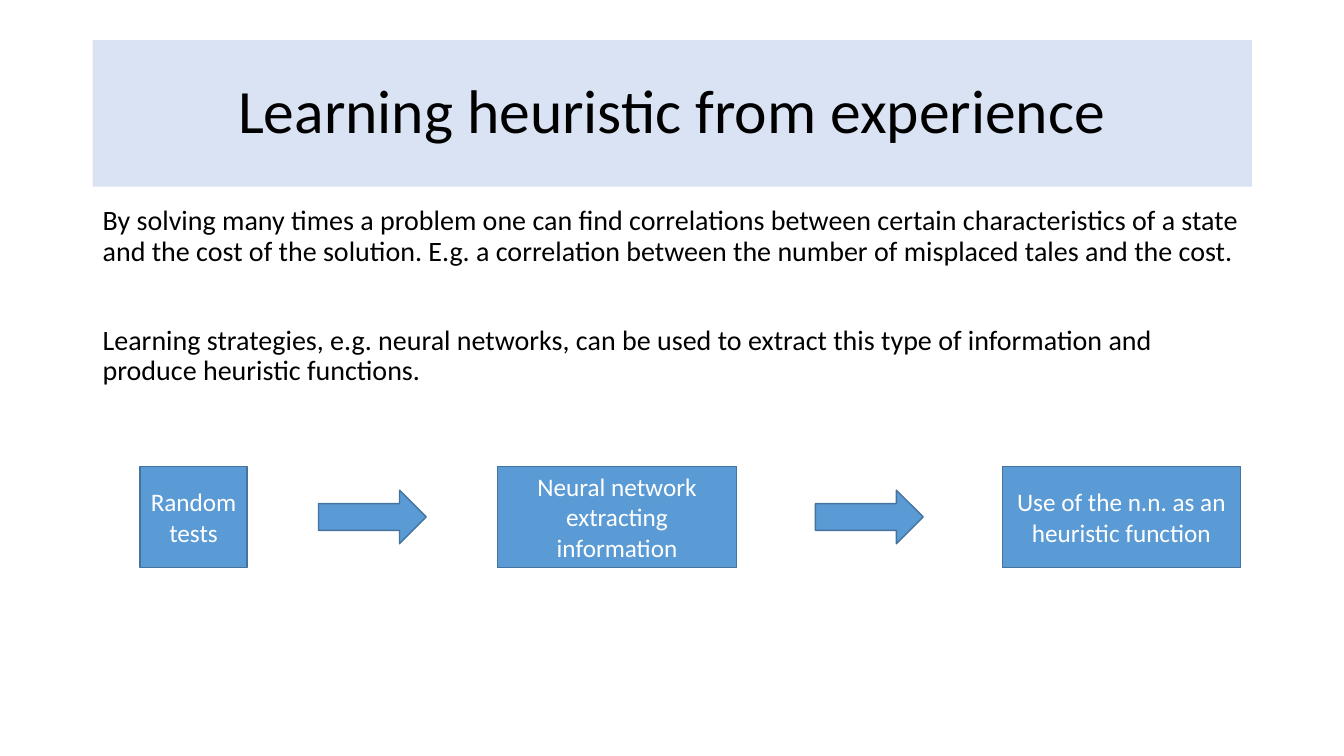
from pptx import Presentation
from pptx.dml.color import RGBColor
from pptx.enum import shapes, text
from pptx.util import Pt

TITLE = "Learning heuristic from experience"
BODY = [
    "By solving many times a problem one can find correlations between certain "
    "characteristics of a state and the cost of the solution. E.g. a correlation "
    "between the number of misplaced tales and the cost.",
    "Learning strategies, e.g. neural networks, can be used to extract this type "
    "of information and produce heuristic functions.",
]
STEPS = [
    ("Random tests", 100, 76.5),
    ("", 227.5, 77),
    ("Neural network extracting information", 355.5, 170.5),
    ("", 582.5, 77),
    ("Use of the n.n. as an heuristic function", 716, 170),
]
COLORS = {"band": "DAE3F3", "step": "5B9BD5", "edge": "43739E",
          "dark": "000000", "light": "FFFFFF"}
LEFT, WIDTH = 66.25, 828
MID = 369.25
BOX_H, ARROW_H = 72, 38.25
KIND = shapes.MSO_SHAPE
ALIGN = text.PP_ALIGN
ANCHOR = text.MSO_ANCHOR


def tint(name):
    return RGBColor.from_string(COLORS[name])


def write(shape, lines, size, color, form, anchor, gap=0):
    frame = shape.text_frame
    frame.word_wrap = True
    frame.vertical_anchor = anchor
    for i, line in enumerate(lines):
        para = frame.paragraphs[0] if i == 0 else frame.add_paragraph()
        for key, value in form.items():
            setattr(para, key, value)
        if i:
            para.space_before = Pt(gap)
        run = para.add_run()
        run.text = line
        for key, value in {"name": "Calibri", "size": Pt(size)}.items():
            setattr(run.font, key, value)
        run.font.color.rgb = tint(color)


def block(slide, kind, box, fill, edge=None):
    shape = slide.shapes.add_shape(kind, *map(Pt, box))
    shape.shadow.inherit = False
    shape.fill.solid()
    shape.fill.fore_color.rgb = tint(fill)
    if edge:
        shape.line.color.rgb = tint(edge)
        shape.line.width = Pt(1)
    else:
        shape.line.fill.background()
    return shape


def main():
    deck = Presentation()
    deck.slide_width, deck.slide_height = Pt(960), Pt(540)
    slide = deck.slides.add_slide(deck.slide_layouts[6])

    title = block(slide, KIND.RECTANGLE, (LEFT, 28.75, WIDTH, 104.5), "band")
    write(title, [TITLE], 44, "dark",
          {"alignment": ALIGN.CENTER, "line_spacing": 0.9}, ANCHOR.MIDDLE)

    body = slide.shapes.add_textbox(*map(Pt, (LEFT, 144, WIDTH, 342.75)))
    write(body, BODY, 20, "dark",
          {"alignment": ALIGN.LEFT, "line_spacing": 0.9}, ANCHOR.TOP, gap=42)

    for label, left, width in STEPS:
        kind, high = (KIND.RECTANGLE, BOX_H) if label else (KIND.RIGHT_ARROW, ARROW_H)
        step = block(slide, kind, (left, MID - high / 2, width, high), "step", "edge")
        if label:
            write(step, [label], 18, "light", {"alignment": ALIGN.CENTER}, ANCHOR.MIDDLE)

    deck.save("out.pptx")


if __name__ == "__main__":
    main()
